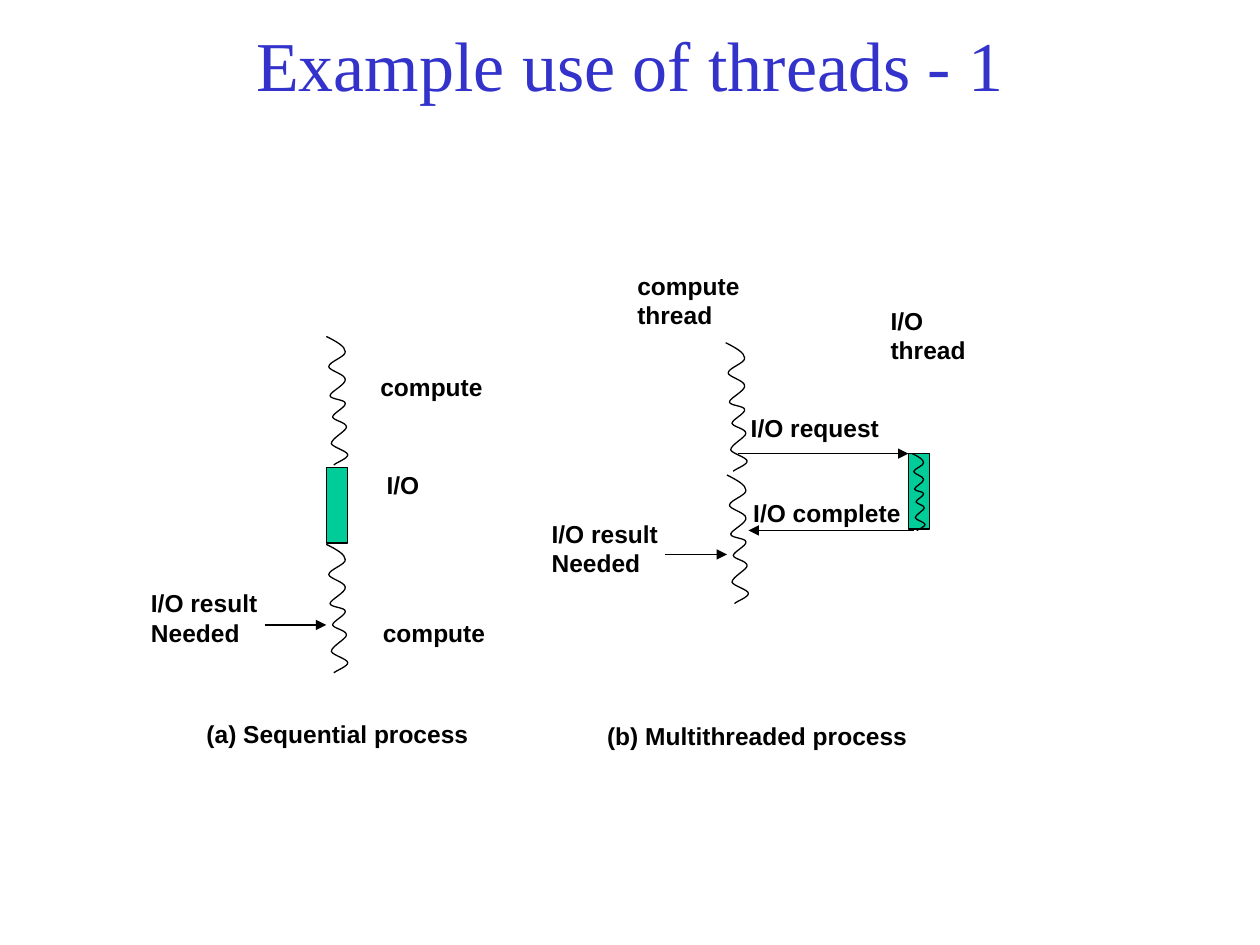
from pptx import Presentation
from pptx.dml.color import RGBColor
from pptx.enum.shapes import MSO_CONNECTOR as Conn, MSO_SHAPE as Shape
from pptx.enum.text import MSO_ANCHOR as Anchor, MSO_AUTO_SIZE as AutoSize, PP_ALIGN as Align
from pptx.oxml.ns import qn
from pptx.util import Inches, Pt
from lxml.etree import SubElement

COLS, ROWS = 100, 75
# Hundredths of an inch: two control points and an end point per curve
WAVE = [
    (8, 4), (15, 8), (15, 12), (16, 16), (2, 20), (2, 24),
    (2, 27), (15, 30), (15, 34), (16, 38), (3, 44), (3, 47),
    (3, 50), (15, 50), (15, 53), (16, 56), (5, 61), (5, 64),
    (6, 67), (16, 68), (16, 72), (16, 75), (4, 81), (4, 85),
    (5, 88), (17, 91), (17, 94), (17, 97), (8, 100), (6, 102),
]


def color(hex_text):
    return RGBColor.from_string(hex_text)


class Canvas:
    """Draws on one slide; lengths are columns and rows of a 100 x 75 grid."""
    ink, box_fill, title_ink = "000000", "00CC99", "3333CC"
    label_font = {"name": "Arial", "size": Pt(14), "bold": True}
    title_font = {"name": "Times New Roman", "size": Pt(40), "bold": False}

    def __init__(self, prs):
        self.slide = prs.slides.add_slide(prs.slide_layouts[5])
        self.shapes = self.slide.shapes
        self.col = prs.slide_width / COLS
        self.row = prs.slide_height / ROWS

    def place(self, *lengths):
        units = (self.col, self.row) * 2
        return [round(n * unit) for n, unit in zip(lengths, units)]

    def format_text(self, p, font, hex_text):
        for name, value in font.items():
            setattr(p.font, name, value)
        p.font.color.rgb = color(hex_text)

    def outline(self, line):
        line.color.rgb = color(self.ink)
        line.width = Pt(0.75)

    def title(self, text, *box):
        sp = self.shapes.title
        sp.left, sp.top, sp.width, sp.height = self.place(*box)
        tf = sp.text_frame
        tf.text = text
        tf.auto_size = AutoSize.NONE
        tf.vertical_anchor = Anchor.MIDDLE
        p = tf.paragraphs[0]
        p.alignment = Align.CENTER
        self.format_text(p, self.title_font, self.title_ink)

    def label(self, text, x, y, width):
        height = 5.7 if "\n" in text else 3.4
        tf = self.shapes.add_textbox(*self.place(x, y, width, height)).text_frame
        tf.word_wrap = False
        tf.auto_size = AutoSize.SHAPE_TO_FIT_TEXT
        tf.text = text
        for p in tf.paragraphs:
            self.format_text(p, self.label_font, self.ink)

    def io_box(self, x, y):
        sp = self.shapes.add_shape(Shape.RECTANGLE, *self.place(x, y, 1.7, 6))
        sp.shadow.inherit = False
        sp.fill.solid()
        sp.fill.fore_color.rgb = color(self.box_fill)
        self.outline(sp.line)

    def thread(self, x, y, scale=1):
        """Wavy line: straight segments regrouped in threes as Bezier curves."""
        builder = self.shapes.build_freeform(0, 0, scale=self.col / 10 * scale)
        builder.add_line_segments(WAVE, close=False)
        sp = builder.convert_to_shape(*self.place(x, y))
        sp.shadow.inherit = False
        sp.fill.background()
        self.outline(sp.line)
        segments = list(sp._element.iter(qn("a:lnTo")))
        for i in range(0, len(segments), 3):
            curve = SubElement(segments[i].getparent(), qn("a:cubicBezTo"))
            for segment in segments[i:i + 3]:
                curve.append(segment[0])
                segment.getparent().remove(segment)

    def arrow(self, x1, x2, y):
        ends = self.place(x1, y, x2, y)
        connector = self.shapes.add_connector(Conn.STRAIGHT, *ends)
        self.outline(connector.line)
        SubElement(connector.line._get_or_add_ln(), qn("a:tailEnd"), type="triangle")
        SubElement(connector._element.spPr, qn("a:effectLst"))


def sequential_process(canvas):
    canvas.thread(25.9, 26.7)
    canvas.io_box(25.9, 37.1)
    canvas.thread(25.9, 43.2)
    canvas.label("compute", 29.2, 29, 10.1)
    canvas.label("compute", 29.4, 48.6, 10.1)
    canvas.label("I/O", 29.7, 36.8, 4.6)
    canvas.arrow(21, 25.9, 49.6)
    canvas.label("I/O result\nNeeded", 11, 46.2, 11.7)
    canvas.label("(a) Sequential process", 15.4, 56.6, 24.9)


def multithreaded_process(canvas):
    canvas.thread(57.6, 27.2)
    canvas.io_box(72.1, 36)
    canvas.thread(57.7, 37.7)
    canvas.label("compute\nthread", 49.6, 21, 11.7)
    canvas.arrow(52.8, 57.7, 44)
    canvas.label("I/O result\nNeeded", 42.8, 40.7, 11.7)
    canvas.label("(b) Multithreaded process", 47.2, 56.7, 28)
    canvas.thread(72.4, 36, scale=0.6)
    canvas.label("I/O request", 58.6, 32.3, 13.8)
    canvas.label("I/O complete", 58.8, 39, 13.7)
    canvas.label("I/O\nthread", 69.7, 23.8, 9)
    canvas.arrow(58.6, 72.1, 36)
    canvas.arrow(72.5, 59.4, 42.1)


def main():
    prs = Presentation()
    prs.slide_width, prs.slide_height = Inches(10), Inches(7.5)
    canvas = Canvas(prs)
    canvas.title("Example use of threads - 1", 7.5, 1.7, 85, 6.7)
    sequential_process(canvas)
    multithreaded_process(canvas)
    prs.save("out.pptx")


if __name__ == "__main__":
    main()
